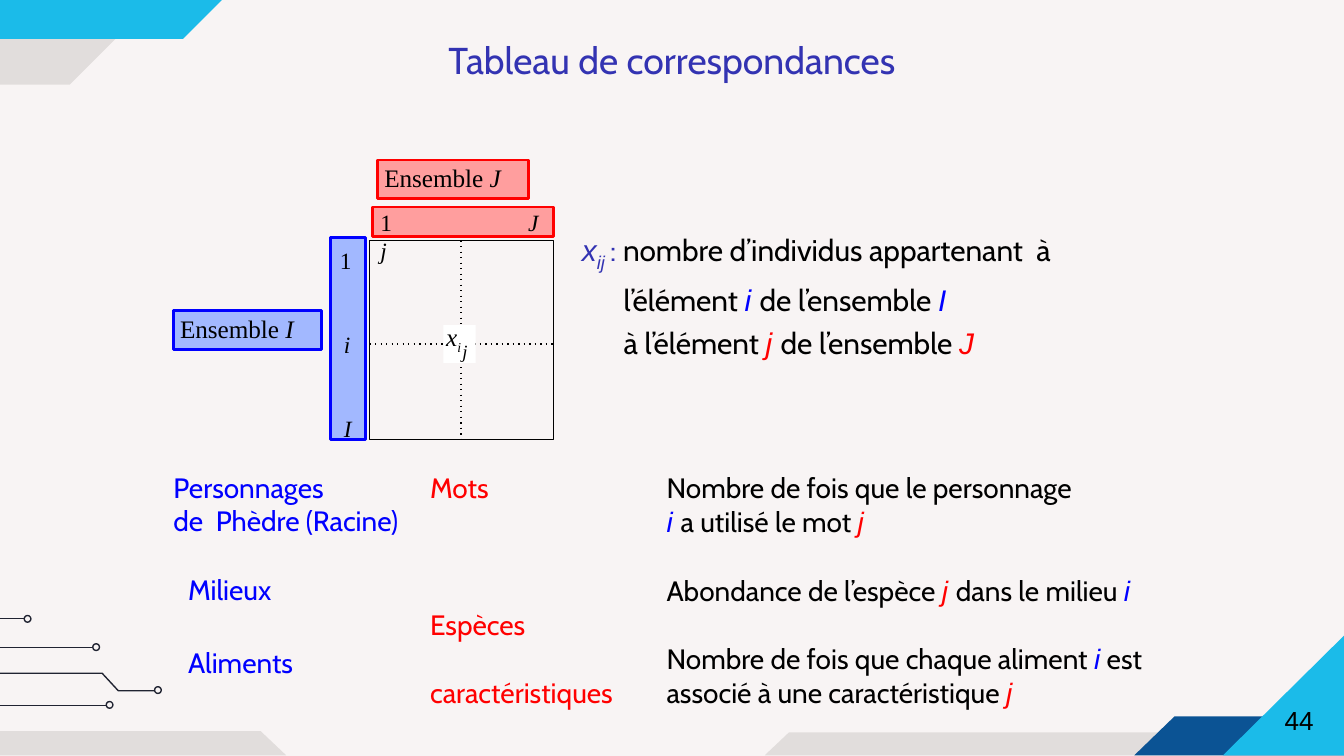
from typing import NamedTuple

from lxml import etree
from pptx import Presentation
from pptx.dml.color import RGBColor
from pptx.enum.shapes import MSO_CONNECTOR, MSO_SHAPE
from pptx.enum.text import MSO_ANCHOR, PP_ALIGN
from pptx.oxml.ns import qn
from pptx.util import Inches, Pt

RECT, OVAL = MSO_SHAPE.RECTANGLE, MSO_SHAPE.OVAL
STRAIGHT = MSO_CONNECTOR.STRAIGHT
TOP, MIDDLE = MSO_ANCHOR.TOP, MSO_ANCHOR.MIDDLE
LEFT, CENTER, RIGHT = PP_ALIGN.LEFT, PP_ALIGN.CENTER, PP_ALIGN.RIGHT

PAPER = RGBColor(0xF8, 0xF4, 0xF4)
GREY = RGBColor(0xE1, 0xDD, 0xDC)
CYAN = RGBColor(0x1B, 0xBB, 0xE9)
NAVY = RGBColor(0x0B, 0x53, 0x94)
INK = RGBColor(0x20, 0x23, 0x31)
INDIGO = RGBColor(0x33, 0x33, 0xB2)
BLACK = RGBColor(0, 0, 0)
WHITE = RGBColor(0xFF, 0xFF, 0xFF)
BLUE = RGBColor(0, 0, 0xFF)
PALE = RGBColor(0xA2, 0xB8, 0xFF)
RED = RGBColor(0xFF, 0, 0)
PINK = RGBColor(0xFF, 0x9E, 0x9E)
CABIN, ARIAL, TIMES = "Cabin", "Arial", "Times New Roman"


class Run(NamedTuple):
    text: str
    color: RGBColor = BLACK
    size: float = 15
    font: str = CABIN
    slant: bool = False
    drop: bool = False


def sign(text, color, size=15):
    return Run(text, color, size, ARIAL, True)


def roman(text, size=12.5, slant=True, drop=False):
    return Run(text, BLACK, size, TIMES, slant, drop)


class Pen:
    def __init__(self, slide):
        self.slide = slide
        self.shapes = slide.shapes
        slide.background.fill.solid()
        slide.background.fill.fore_color.rgb = PAPER

    def paint(self, shape, fill=None, line=None, width=0.75):
        shape.shadow.inherit = False
        if fill is None:
            shape.fill.background()
        else:
            shape.fill.solid()
            shape.fill.fore_color.rgb = fill
        if line is None:
            shape.line.fill.background()
        else:
            shape.line.color.rgb = line
            shape.line.width = Pt(width)

    def box(self, at, fill=None, line=None, width=0.75, kind=RECT):
        shape = self.shapes.add_shape(kind, *map(Inches, at))
        self.paint(shape, fill, line, width)

    def free(self, points, fill=None, line=None):
        points = [(Inches(x), Inches(y)) for x, y in points]
        outline = self.shapes.build_freeform(*points[0])
        outline.add_line_segments(points[1:], close=fill is not None)
        self.paint(outline.convert_to_shape(), fill, line)

    def line(self, start, end, color, dash=None):
        line = self.shapes.add_connector(
            STRAIGHT, *map(Inches, start + end))
        line.line.color.rgb = color
        line.line.width = Pt(0.75)
        props = line._element.spPr
        if dash:
            etree.SubElement(props.find(qn("a:ln")),
                             qn("a:prstDash")).set("val", dash)
        etree.SubElement(props, qn("a:effectLst"))

    def style(self, font, run):
        font.name, font.size = run.font, Pt(run.size)
        font.color.rgb, font.italic = run.color, run.slant

    def fill(self, frame, paras, inset, align=LEFT, anchor=TOP, gaps=()):
        frame.word_wrap = True
        frame.vertical_anchor = anchor
        (frame.margin_left, frame.margin_top,
         frame.margin_right, frame.margin_bottom) = map(Inches, inset)
        for i, runs in enumerate(paras):
            para = frame.add_paragraph() if i else frame.paragraphs[0]
            para.alignment = align
            if i and gaps:
                para.space_before = Pt(gaps[i - 1])
            same = len({run[1:] for run in runs}) == 1
            if same:
                self.style(para.font, runs[0])
            for run in runs:
                part = para.add_run()
                part.text = run.text
                if not same:
                    self.style(part.font, run)
                if run.drop:
                    part.font._element.set("baseline", "-25000")

    def text(self, at, paras, inset=(0.01, 0.02, 0, 0), **more):
        frame = self.shapes.add_textbox(*map(Inches, at)).text_frame
        self.fill(frame, paras, inset, **more)
        return frame

    def title(self, at, run):
        shape = self.shapes.title
        shape.left, shape.top, shape.width, shape.height = map(Inches, at)
        self.fill(shape.text_frame, [[run]], (0, 0.14, 0, 0),
                  align=CENTER, anchor=MIDDLE)


def decor(pen):
    pen.free([(0, 0.29), (0.86, 0.29), (0.52, 0.63), (0, 0.63)], GREY)
    pen.free([(0, 5.44), (1.94, 5.44), (2.13, 5.62), (0, 5.62)], GREY)
    pen.free([(5.69, 5.62), (5.87, 5.45), (10, 5.45), (10, 5.62)], GREY)
    pen.free([(0, 5.25), (0.79, 5.25)], line=INK)
    pen.free([(0, 5.01), (0.76, 5.01), (0.88, 5.14), (1.15, 5.14)], line=INK)
    for x, y in ((0.69, 4.82), (0.18, 4.6)):
        pen.line((0, y), (x, y), INK)
    for x, y in ((0.79, 5.22), (0.69, 4.79), (1.15, 5.11), (0.18, 4.58)):
        pen.box((x, y, 0.05, 0.05), line=INK, kind=OVAL)
    pen.free([(8.44, 5.62), (8.74, 5.33), (10, 5.33), (10, 5.62)], NAVY)
    pen.free([(0, 0), (1.65, 0), (1.36, 0.29), (0, 0.29)], CYAN)
    pen.free([(10, 4.73), (10, 5.62), (9.1, 5.62)], CYAN)


def grid(pen):
    pen.box((2.46, 1.77, 0.26, 1.5), PALE, BLUE, 1.5)
    pen.box((2.77, 1.54, 1.35, 0.22), PINK, RED, 1.5)
    pen.box((2.75, 1.79, 1.37, 1.48), line=BLACK)
    for x, y, mark in ((2.52, 1.81, "1"), (2.55, 2.44, "i"),
                       (2.55, 3.06, "I"), (3.92, 1.53, "J")):
        pen.text((x, y, 0.14, 0.23), [[roman(mark, slant=mark != "1")]])
    pen.text((2.82, 1.53, 0.62, 0.45),
             [[roman("1", slant=False)], [roman("j")]])
    pen.line((3.43, 1.79), (3.43, 3.27), BLACK, "dot")
    pen.line((2.75, 2.56), (4.12, 2.56), BLACK, "dot")
    pen.box((3.3, 2.42, 0.24, 0.28), WHITE)
    pen.text((3.43, 2.52, 0.08, 0.18), [[roman("j", 10)]], (0.01, 0.01, 0, 0))
    pen.text((3.11, 2.37, 0.32, 0.24),
             [[roman("x", 13.5), roman("i", drop=True)]], align=RIGHT)
    for at, name, fill, line in (
            ((1.29, 2.31, 1.1, 0.29), "I", PALE, BLUE),
            ((2.81, 1.19, 1.12, 0.29), "J", PINK, RED)):
        pen.box(at, fill, line, 1.5)
        pen.text(at, [[roman("Ensemble ", 13.5, False), roman(name, 13.5)]],
                 (0.05, 0.02, 0, 0))


def legend(pen):
    frame = pen.text((4.29, 1.62, 4.11, 1.03), [
        [sign("x", INDIGO, 16), sign("ij ", INDIGO, 17)._replace(drop=True),
         Run(": ", INDIGO, 16),
         Run("nombre d’individus appartenant  à l’élément ", size=16),
         sign("i ", BLUE, 16), Run("de l’ensemble ", size=16),
         sign("I", BLUE, 16)],
        [Run("à l’élément ", size=16), sign("j ", RED, 16),
         Run("de l’ensemble ", size=16), sign("J", RED, 16)],
    ], (0, 0.01, 0, 0), gaps=(3.4,))
    first, last = frame.paragraphs
    first.line_spacing = 1.25
    for para, indent in ((first, -0.31), (last, 0)):
        props = para._p.get_or_add_pPr()
        props.set("marL", str(Inches(0.35)))
        props.set("indent", str(Inches(indent)))


def cases(pen):
    inset = (0.01, 0.01, 0, 0)
    pen.text((1.28, 3.49, 1.91, 0.52),
             [[Run("Personnages", BLUE)],
              [Run("de  Phèdre (Racine)", BLUE)]], inset)
    pen.text((3.19, 3.49, 1.52, 1.81),
             [[Run(word, RED)]
              for word in ("Mots", "Espèces", "caractéristiques")],
             inset, gaps=(55.5, 18.5))
    pen.text((4.95, 3.49, 3.77, 1.81), [
        [Run("Nombre de fois que le personnage")],
        [sign("i ", BLUE), Run("a utilisé le mot "), sign("j", RED)],
        [Run("Abondance de l’espèce "), sign("j ", RED),
         Run("dans le milieu "), sign("i", BLUE)],
        [Run("Nombre de fois que chaque aliment "), sign("i", BLUE),
         Run(" est associé à une caractéristique "), sign("j", RED)],
    ], inset, gaps=(0.3, 18.8, 18.8))
    for y, word in ((4.16, "Milieux"), (4.7, "Aliments")):
        pen.text((1.29, y, 1.29, 0.45), [[Run(word, BLUE)]],
                 (0.11, 0.1, 0.1, 0.1))


def main():
    deck = Presentation()
    deck.slide_width = Inches(10)
    deck.slide_height = deck.slide_width * 9 // 16
    pen = Pen(deck.slides.add_slide(deck.slide_layouts[5]))
    decor(pen)
    pen.title((2.25, 0.1, 5.5, 0.54),
              Run("Tableau de correspondances", INDIGO, 20))
    grid(pen)
    legend(pen)
    cases(pen)
    pen.text((9.46, 5.19, 0.42, 0.34), [[Run("44", BLACK, 14, ARIAL)]],
             (0.1, 0.05, 0, 0.05))
    deck.save("out.pptx")


if __name__ == "__main__":
    main()
